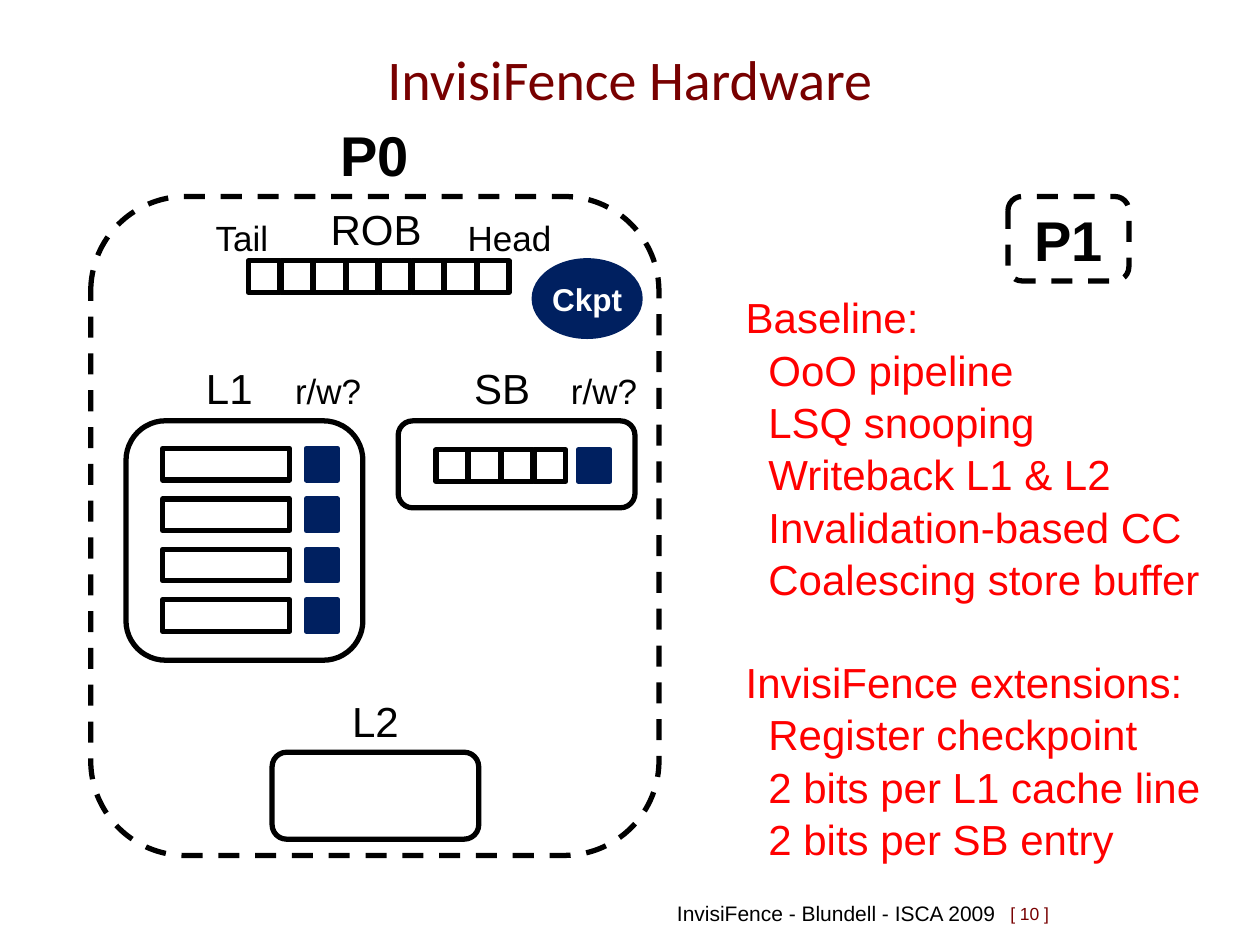
import dataclasses

import pptx
import pptx.dml.color
import pptx.enum.dml
import pptx.enum.shapes
import pptx.enum.text
import pptx.util

Inches = pptx.util.Inches
Align = pptx.enum.text.PP_ALIGN
Anchor = pptx.enum.text.MSO_ANCHOR
Shape = pptx.enum.shapes.MSO_SHAPE


@dataclasses.dataclass(frozen=True)
class Theme:
    black: str = "000000"
    white: str = "FFFFFF"
    maroon: str = "780000"
    navy: str = "002060"
    red: str = "FF0000"
    body_font: str = "Arial"
    title_font: str = "Calibri"
    title: int = 32
    heading: int = 24
    label: int = 20
    badge: int = 18
    footer: int = 12
    page: int = 10
    line: int = 3


class SlideBuilder:
    """Draw styled elements on the current slide."""

    def __init__(self, slide, theme):
        self.slide = slide
        self.theme = theme

    def fill_text(self, frame, lines, size, color=None, font=None, bold=False,
                  align=Align.CENTER, anchor=Anchor.TOP, wrap=False):
        frame_format = {"word_wrap": wrap, "vertical_anchor": anchor}
        for name, value in frame_format.items():
            setattr(frame, name, value)
        font_format = {"size": pptx.util.Pt(size), "bold": bold,
                       "name": font or self.theme.body_font}
        for index, line in enumerate(lines):
            paragraph = frame.add_paragraph() if index else frame.paragraphs[0]
            paragraph.text = line
            paragraph.alignment = align
            for name, value in font_format.items():
                setattr(paragraph.font, name, value)
            paragraph.font.color.rgb = pptx.dml.color.RGBColor.from_string(
                color or self.theme.black)

    def text(self, box, lines, size, grow=True, **style):
        shape = self.slide.shapes.add_textbox(*map(Inches, box))
        self.fill_text(shape.text_frame, lines, size, **style)
        if grow:
            shape.text_frame.auto_size = pptx.enum.text.MSO_AUTO_SIZE.SHAPE_TO_FIT_TEXT
        return shape

    def outline(self, kind, box, fill=None, dashed=False):
        shape = self.slide.shapes.add_shape(kind, *map(Inches, box))
        shape.shadow.inherit = False
        if fill:
            shape.fill.solid()
            shape.fill.fore_color.rgb = pptx.dml.color.RGBColor.from_string(fill)
        else:
            shape.fill.background()
        shape.line.width = pptx.util.Pt(self.theme.line)
        shape.line.color.rgb = pptx.dml.color.RGBColor.from_string(
            fill or self.theme.black)
        if dashed:
            shape.line.dash_style = pptx.enum.dml.MSO_LINE.DASH
        return shape

    def cells(self, left, top, count, size=0.25, pitch=0.26):
        for index in range(count):
            self.outline(Shape.RECTANGLE, (left + index * pitch, top, size, size))

    def section_list(self, box, sections, size, color, gap=28.8):
        lines = [line for heading, items in sections for line in (heading, *items)]
        headings = [heading for heading, items in sections]
        shape = self.text(box, lines, size, color=color, align=Align.LEFT)
        for index, paragraph in enumerate(shape.text_frame.paragraphs):
            paragraph.line_spacing = 1.04
            if paragraph.text not in headings:
                paragraph._p.get_or_add_pPr().set("marL", str(Inches(0.18)))
            elif index:
                paragraph.space_before = pptx.util.Pt(gap)


def main():
    presentation = pptx.Presentation()
    presentation.slide_width = Inches(10)
    presentation.slide_height = Inches(7.5)
    theme = Theme()
    slide = presentation.slides.add_slide(presentation.slide_layouts[6])
    builder = SlideBuilder(slide, theme)

    builder.text((0.5, 0.33, 9, 0.58), ["InvisiFence Hardware"], theme.title,
                 grow=False, color=theme.maroon, font=theme.title_font,
                 anchor=Anchor.MIDDLE, wrap=True)
    builder.text((3.75, 7, 4.25, 0.5), ["InvisiFence - Blundell - ISCA 2009"],
                 theme.footer, grow=False, align=Align.RIGHT,
                 anchor=Anchor.MIDDLE, wrap=True)
    builder.text((7.92, 7, 0.67, 0.5), ["[ 10 ]"], theme.page, grow=False,
                 color=theme.maroon, align=Align.LEFT,
                 anchor=Anchor.MIDDLE, wrap=True)

    builder.outline(Shape.ROUNDED_RECTANGLE, (0.72, 1.56, 4.51, 5.23), dashed=True)
    builder.text((2.6, 0.91, 0.75, 0.64), ["P0"], theme.title, bold=True)
    other_processor = builder.outline(
        Shape.ROUNDED_RECTANGLE, (8, 1.56, 0.96, 0.67), dashed=True)
    builder.fill_text(other_processor.text_frame, ["P1"], theme.title, bold=True,
                      anchor=Anchor.MIDDLE)

    for box in ((1, 3.34, 1.88, 1.9), (3.16, 3.34, 1.88, 0.69),
                (2.16, 5.97, 1.64, 0.69)):
        builder.outline(Shape.ROUNDED_RECTANGLE, box)

    labels = (
        ("ROB", (2.52, 1.57, 0.93, 0.5), theme.heading),
        ("L1", (1.53, 2.83, 0.58, 0.5), theme.heading),
        ("SB", (3.61, 2.83, 0.75, 0.5), theme.heading),
        ("L2", (2.69, 5.47, 0.58, 0.5), theme.heading),
        ("Tail", (1.61, 1.67, 0.62, 0.44), theme.label),
        ("Head", (3.61, 1.67, 0.87, 0.44), theme.label),
        ("r/w?", (2.24, 2.88, 0.73, 0.44), theme.label),
        ("r/w?", (4.43, 2.88, 0.73, 0.44), theme.label),
    )
    for label, box, size in labels:
        builder.text(box, [label], size)

    builder.cells(1.97, 2.07, 8)
    builder.cells(3.46, 3.57, 4)
    builder.outline(Shape.RECTANGLE, (4.59, 3.57, 0.25, 0.25), theme.navy)
    for row in range(4):
        top = 3.56 + row * 0.4
        builder.outline(Shape.RECTANGLE, (1.29, top, 1.01, 0.25))
        builder.outline(Shape.RECTANGLE, (2.43, top, 0.25, 0.25), theme.navy)

    checkpoint = builder.outline(Shape.OVAL, (4.24, 2.07, 0.84, 0.6), theme.navy)
    builder.fill_text(checkpoint.text_frame, ["Ckpt"], theme.badge,
                      color=theme.white, bold=True, anchor=Anchor.MIDDLE)

    sections = (
        ("Baseline:", ("OoO pipeline", "LSQ snooping", "Writeback L1 & L2",
                       "Invalidation-based CC", "Coalescing store buffer")),
        ("InvisiFence extensions:", ("Register checkpoint",
                                     "2 bits per L1 cache line",
                                     "2 bits per SB entry")),
    )
    builder.section_list((5.82, 2.25, 3.85, 4.54), sections, theme.heading, theme.red)

    presentation.save("out.pptx")


if __name__ == "__main__":
    main()
